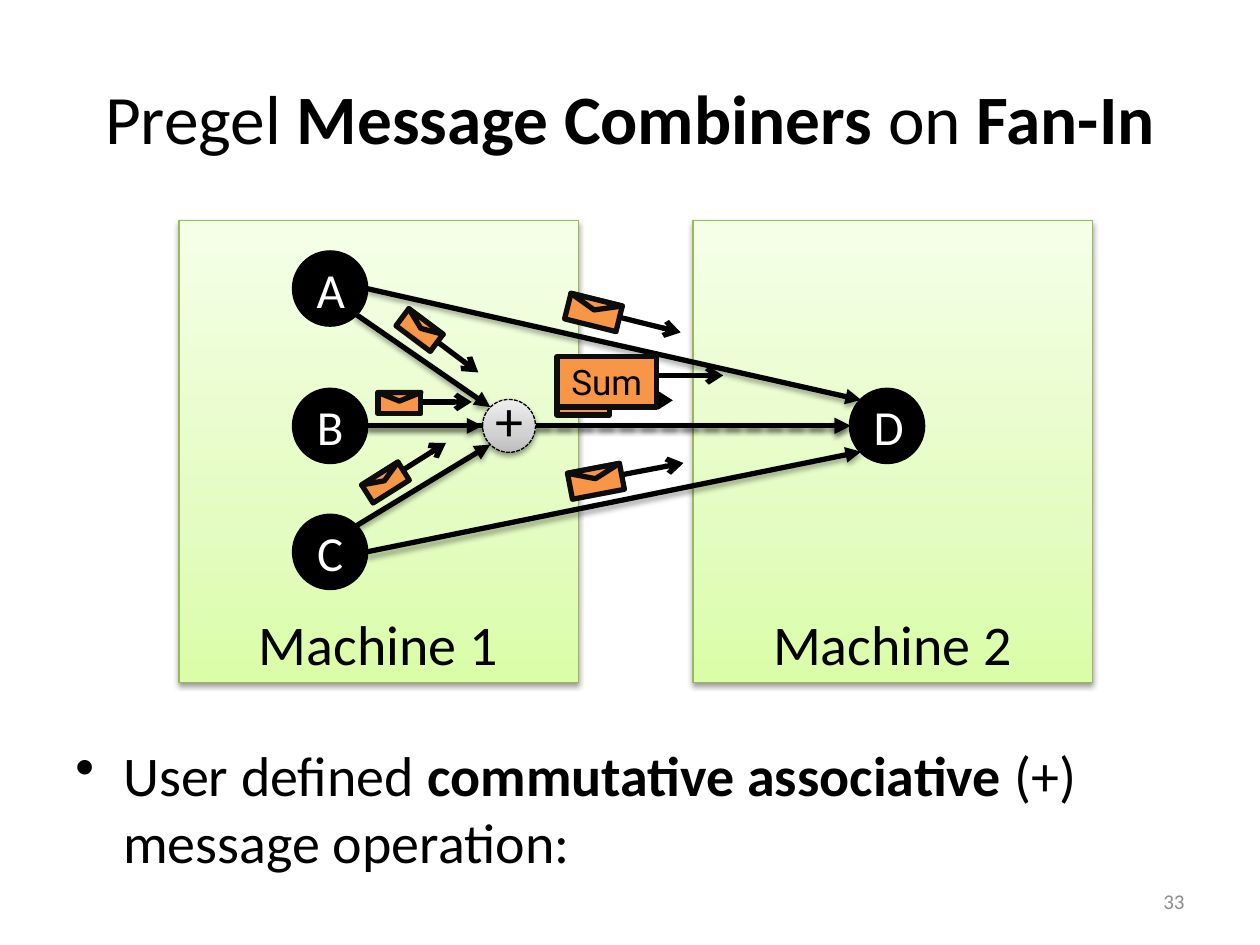
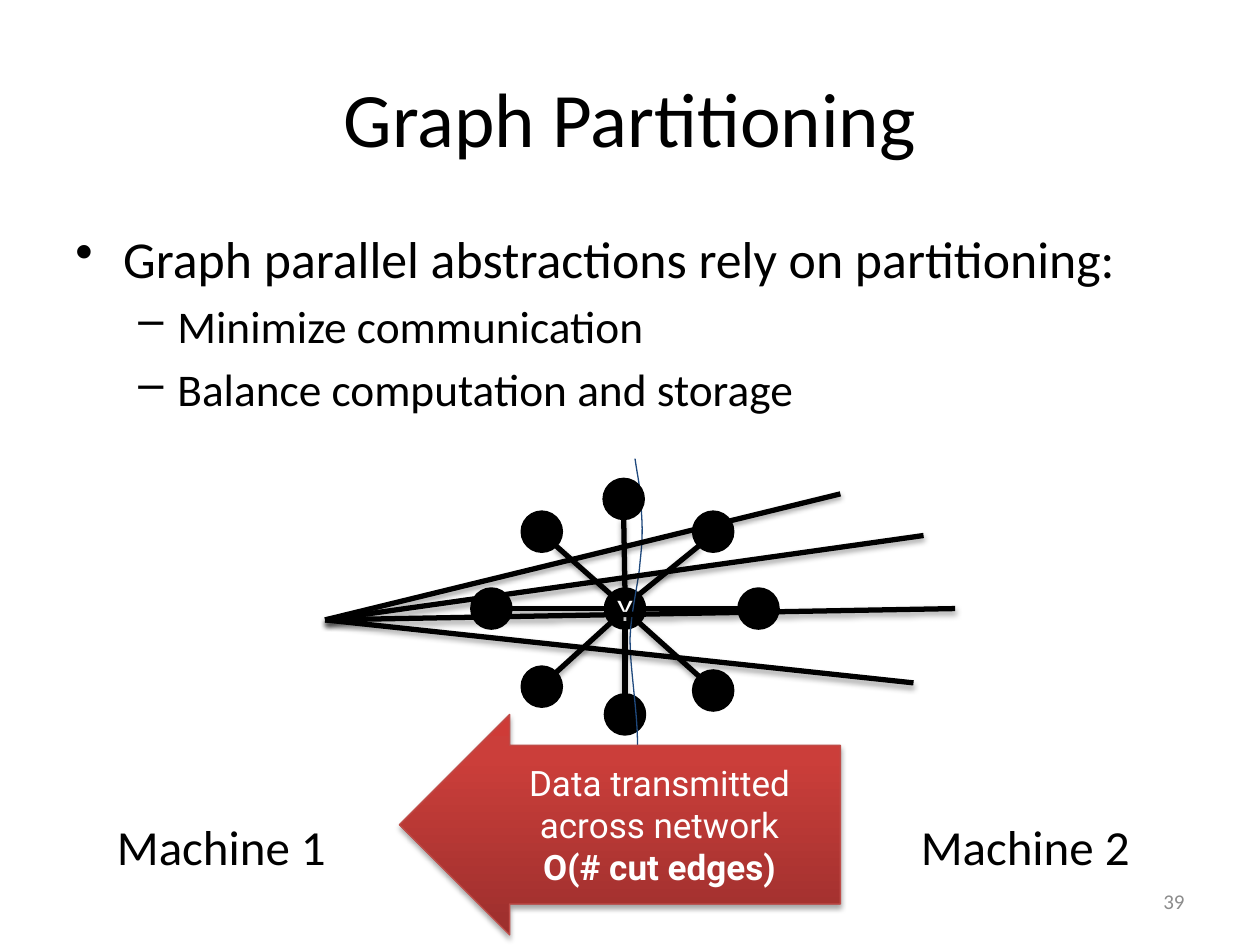
from dataclasses import dataclass
from math import cos, radians, sin
from typing import NamedTuple

from lxml import etree
from pptx import Presentation
from pptx.dml.color import RGBColor
from pptx.enum.dml import MSO_LINE
from pptx.enum.shapes import MSO_CONNECTOR, MSO_SHAPE
from pptx.enum.text import MSO_ANCHOR, PP_ALIGN
from pptx.oxml.ns import qn
from pptx.util import Inches, Pt

BLACK = RGBColor(0x00, 0x00, 0x00)
WHITE = RGBColor(0xFF, 0xFF, 0xFF)
INK = RGBColor(0x0D, 0x0D, 0x0D)
ORANGE = RGBColor(0xF7, 0x96, 0x46)
GREEN_LINE = RGBColor(0x98, 0xB9, 0x55)
RED_LINE = RGBColor(0xBF, 0x4C, 0x48)
NAVY = RGBColor(0x1F, 0x49, 0x7D)
GRAY = RGBColor(0x8C, 0x8C, 0x8C)
GREEN_STOPS = (
    (0, RGBColor(0xDA, 0xFD, 0xA7)),
    (35, RGBColor(0xE4, 0xFC, 0xC2)),
    (100, RGBColor(0xF5, 0xFF, 0xE7)),
)
GRAY_STOPS = (
    (0, RGBColor(0xBD, 0xBD, 0xBD)),
    (35, RGBColor(0xD1, 0xD1, 0xD1)),
    (100, RGBColor(0xEE, 0xEE, 0xEE)),
)
RED_STOPS = (
    (0, RGBColor(0x9C, 0x2F, 0x2D)),
    (80, RGBColor(0xCB, 0x3E, 0x3A)),
    (100, RGBColor(0xCE, 0x3B, 0x37)),
)
RECTANGLE, ELLIPSE = MSO_SHAPE.RECTANGLE, MSO_SHAPE.OVAL
TRIANGLE, LEFT_ARROW = MSO_SHAPE.ISOSCELES_TRIANGLE, MSO_SHAPE.LEFT_ARROW
STRAIGHT = MSO_CONNECTOR.STRAIGHT
DASHED = MSO_LINE.SQUARE_DOT
LEFT, CENTER, RIGHT = PP_ALIGN.LEFT, PP_ALIGN.CENTER, PP_ALIGN.RIGHT
TOP, MIDDLE, BOTTOM = MSO_ANCHOR.TOP, MSO_ANCHOR.MIDDLE, MSO_ANCHOR.BOTTOM
BODY_FONT, LABEL_FONT = "Calibri", "Roboto"


class Point(NamedTuple):
    x: float
    y: float


class Box(NamedTuple):
    left: float
    top: float
    width: float
    height: float


class Span(NamedTuple):
    text: str
    bold: bool = False


class Line(NamedTuple):
    spans: tuple[Span, ...]
    size: float
    align: int = CENTER
    color: RGBColor = BLACK
    font: str = BODY_FONT
    bullet: str = ""
    margin: float = 0
    hanging: float = 0


@dataclass(frozen=True)
class Vertex:
    center: Point
    radius: float
    label: str = ""
    size: float = 28
    inset: float = 0.1

    @property
    def box(self) -> Box:
        return Box(self.center.x - self.radius, self.center.y - self.radius,
                   2 * self.radius, 2 * self.radius)

    def rim(self, degrees: float) -> Point:
        return offset(self.center, self.radius, 0, degrees)


@dataclass(frozen=True)
class Envelope:
    center: Point
    width: float
    rotation: float = 0


def offset(origin: Point, along: float, across: float, degrees: float) -> Point:
    turn = radians(degrees)
    return Point(origin.x + along * cos(turn) - across * sin(turn),
                 origin.y + along * sin(turn) + across * cos(turn))


def plain(text: str, size: float, **style) -> Line:
    return Line((Span(text),), size, **style)


def write(shape, lines: list[Line], anchor=MIDDLE, wrap: bool = True) -> None:
    frame = shape.text_frame
    frame.word_wrap = wrap
    frame.vertical_anchor = anchor
    for index, line in enumerate(lines):
        paragraph = frame.add_paragraph() if index else frame.paragraphs[0]
        paragraph.alignment = line.align
        if line.bullet:
            properties = paragraph._p.get_or_add_pPr()
            properties.set("marL", str(Inches(line.margin)))
            properties.set("indent", str(Inches(-line.hanging)))
            etree.SubElement(properties, qn("a:buChar"), char=line.bullet)
            if index:
                paragraph.space_before = Pt(line.size * 0.2)
        font = paragraph.font
        font.name, font.size, font.color.rgb = line.font, Pt(line.size), line.color
        for span in line.spans:
            run = paragraph.add_run()
            run.text = span.text
            if span.bold:
                run.font.bold = True


def add_text(slide, box: Box, lines: list[Line], anchor=MIDDLE, wrap: bool = True) -> None:
    write(slide.shapes.add_textbox(*map(Inches, box)), lines, anchor, wrap)


def add_shadow(effects, alpha: int, distance: float) -> None:
    shadow = etree.SubElement(
        effects, qn("a:outerShdw"), blurRad=str(Pt(3.1)), dist=str(Pt(distance)),
        dir="5400000", rotWithShape="0")
    color = etree.SubElement(shadow, qn("a:srgbClr"), val=str(BLACK))
    etree.SubElement(color, qn("a:alpha"), val=str(alpha * 1000))


def add_shape(slide, kind, box: Box, fill, line: RGBColor, width: float,
              rotation: float = 0, shadow: tuple | None = None):
    shape = slide.shapes.add_shape(kind, *map(Inches, box))
    shape.rotation = rotation
    shape.line.color.rgb, shape.line.width = line, Pt(width)
    if isinstance(fill, RGBColor):
        shape.fill.solid()
        shape.fill.fore_color.rgb = fill
    else:
        shape.fill.gradient()
        gradient = shape._element.spPr.find(qn("a:gradFill"))
        for child in list(gradient):
            gradient.remove(child)
        stops = etree.SubElement(gradient, qn("a:gsLst"))
        for position, color in fill:
            stop = etree.SubElement(stops, qn("a:gs"), pos=str(position * 1000))
            etree.SubElement(stop, qn("a:srgbClr"), val=str(color))
        etree.SubElement(gradient, qn("a:lin"), ang="16200000", scaled="0")
    shape.shadow.inherit = False
    if shadow:
        add_shadow(shape._element.spPr.find(qn("a:effectLst")), *shadow)
    return shape


def add_line(slide, start: Point, end: Point, head: str = "", shadow: bool = True,
             dash=None) -> None:
    connector = slide.shapes.add_connector(STRAIGHT, *map(Inches, (*start, *end)))
    connector.line.color.rgb, connector.line.width = BLACK, Pt(3)
    if dash:
        connector.line.dash_style = dash
    properties = connector._element.spPr
    if head:
        etree.SubElement(properties.find(qn("a:ln")), qn("a:tailEnd"), type=head)
    effects = etree.SubElement(properties, qn("a:effectLst"))
    if shadow:
        add_shadow(effects, 35, 1.8)


def add_vertex(slide, vertex: Vertex) -> None:
    shape = add_shape(slide, ELLIPSE, vertex.box, BLACK, BLACK, 2)
    if vertex.label:
        frame = shape.text_frame
        frame.margin_left = frame.margin_right = Inches(vertex.inset)
        frame.margin_top = frame.margin_bottom = Inches(vertex.inset / 2)
        write(shape, [plain(vertex.label, vertex.size, color=WHITE)])


def add_envelope(slide, envelope: Envelope) -> None:
    center, width, rotation = envelope.center, envelope.width, envelope.rotation
    height, flap = width / 2, width / 5
    start, end = (offset(center, width * reach, -0.03 * width, rotation)
                  for reach in (0.5, 1.69))
    add_line(slide, start, end, "arrow", shadow=False)
    fold = offset(center, 0, (flap - height) / 2, rotation)
    for kind, middle, depth, turn in ((RECTANGLE, center, height, rotation),
                                      (TRIANGLE, fold, flap, rotation + 180)):
        box = Box(middle.x - width / 2, middle.y - depth / 2, width, depth)
        add_shape(slide, kind, box, ORANGE, INK, 3, turn)


def add_slide(presentation, title: tuple[Span, ...], size: float, number: int):
    slide = presentation.slides.add_slide(presentation.slide_layouts[6])
    add_text(slide, Box(0.5, 0.3, 9, 1.25), [Line(title, size)])
    add_text(slide, Box(7.17, 6.95, 2.33, 0.4),
             [plain(str(number), 12, align=RIGHT, color=GRAY)])
    return slide


def bullet(spans: tuple[Span, ...], size: float, level: int = 0) -> Line:
    mark, margin, hanging = (("•", 0.38, 0.38), ("–", 0.81, 0.31))[level]
    return Line(spans, size, LEFT, bullet=mark, margin=margin, hanging=hanging)


def build_combiners(presentation) -> None:
    title = (Span("Pregel "), Span("Message Combiners ", True), Span("on "),
             Span("Fan-In", True))
    slide = add_slide(presentation, title, 39.6, 33)
    for left, name in ((1.42, "Machine 1"), (5.5, "Machine 2")):
        machine = add_shape(slide, RECTANGLE, Box(left, 1.75, 3.17, 3.67), GREEN_STOPS,
                            GREEN_LINE, 0.75, shadow=(38, 1.6))
        write(machine, [plain(name, 32)], BOTTOM)

    for envelope in (Envelope(Point(4.71, 2.48), 0.42, 13.9),
                     Envelope(Point(4.63, 3.19), 0.42),
                     Envelope(Point(4.73, 3.82), 0.42, 349.2)):
        add_envelope(slide, envelope)

    sources = [Vertex(Point(2.62, y), 0.29, name)
               for name, y in (("A", 2.29), ("B", 3.38), ("C", 4.38))]
    target = Vertex(Point(7.04, 3.38), 0.29, "D")
    combiner = Vertex(Point(4.04, 3.38), 0.21)
    slopes = (45, 0, -45)
    for source, slope in zip(sources, slopes):
        add_line(slide, source.rim(0), target.rim(slope + 180), "triangle")
    for source, slope in zip(sources, slopes):
        add_line(slide, source.rim(slope), combiner.rim(slope + 180), "triangle")
    add_line(slide, combiner.rim(0), target.rim(180), "triangle", dash=DASHED)

    plus = add_shape(slide, ELLIPSE, combiner.box, GRAY_STOPS, BLACK, 0.75,
                     shadow=(38, 1.6))
    plus.line.dash_style = DASHED
    frame = plus.text_frame
    frame.margin_left = frame.margin_right = frame.margin_top = 0
    frame.margin_bottom = Inches(0.1)
    write(plus, [plain("+", 32)])
    for vertex in (*sources, target):
        add_vertex(slide, vertex)

    for envelope in (Envelope(Point(3.33, 2.62), 0.34, 36.8),
                     Envelope(Point(3.06, 3.83), 0.34, 327.7),
                     Envelope(Point(3.17, 3.2), 0.34)):
        add_envelope(slide, envelope)
    add_line(slide, Point(4.82, 2.98), Point(5.74, 2.98), "arrow", shadow=False)
    total = add_shape(slide, RECTANGLE, Box(4.42, 2.83, 0.79, 0.4), ORANGE, INK, 3)
    write(total, [plain("Sum", 20, font=LABEL_FONT)], wrap=False)

    operation = (Span("User defined "), Span("commutative associative", True),
                 Span(" (+) message operation:"))
    add_text(slide, Box(0.5, 5.83, 9, 1.5), [bullet(operation, 32)], TOP)


def add_cut(slide) -> None:
    knots = [Point(*pair) for pair in (
        (5.04, 3.64), (5.06, 3.78), (5.09, 3.91), (5.09, 4.05),
        (5.1, 4.18), (5.1, 4.29), (5.08, 4.46), (5.07, 4.62), (5.01, 4.83), (5, 5.07),
        (5, 5.3), (5.06, 5.66), (5.06, 5.89), (5.06, 6.12), (5, 6.3), (5, 6.45))]
    steps = 8
    outline = []
    for first in range(0, len(knots) - 1, 3):
        for step in range(1, steps + 1):
            t = step / steps
            weights = ((1 - t) ** 3, 3 * t * (1 - t) ** 2, 3 * t * t * (1 - t), t ** 3)
            controls = knots[first:first + 4]
            outline.append(tuple(
                Inches(sum(weight * knot[axis] for weight, knot in zip(weights, controls)))
                for axis in (0, 1)))
    builder = slide.shapes.build_freeform(*map(Inches, knots[0]))
    builder.add_line_segments(outline, close=False)
    cut = builder.convert_to_shape()
    cut.fill.background()
    cut.line.color.rgb, cut.line.width = NAVY, Pt(0.75)
    cut.shadow.inherit = False


def build_partitioning(presentation) -> None:
    slide = add_slide(presentation, (Span("Graph Partitioning"),), 44, 39)
    heading = (Span("Graph parallel abstractions rely on partitioning:"),)
    goals = ("Minimize communication", "Balance computation and storage")
    add_text(slide, Box(0.5, 1.75, 9, 1.42),
             [bullet(heading, 29.6), *(bullet((Span(goal),), 25.9, 1) for goal in goals)],
             TOP)

    hub = Vertex(Point(4.96, 4.83), 0.155, "Y", 18, 0)
    neighbors = {
        90: Point(4.96, 5.67), 135: Point(4.3, 5.45), 180: Point(3.9, 4.83),
        225: Point(4.3, 4.22), 270: Point(4.95, 3.96), 315: Point(5.66, 4.22),
        0: Point(6.02, 4.83), 45: Point(5.66, 5.48),
    }
    satellites = {angle: Vertex(center, hub.radius) for angle, center in neighbors.items()}
    for angle, satellite in satellites.items():
        add_line(slide, hub.rim(angle), satellite.rim(angle + 180))
    left_side = {90, 135, 180, 225}
    add_vertex(slide, hub)
    for angle in left_side:
        add_vertex(slide, satellites[angle])
    add_cut(slide)
    for left, name in ((0.83, "Machine 1"), (7.21, "Machine 2")):
        add_text(slide, Box(left, 6.43, 1.88, 0.57), [plain(name, 28, align=LEFT)],
                 TOP, wrap=False)
    for angle in satellites.keys() - left_side:
        add_vertex(slide, satellites[angle])

    for start in (Point(7.33, 4.25), Point(6.67, 3.92), Point(7.58, 4.83),
                  Point(7.25, 5.42)):
        add_line(slide, start, Point(2.58, 4.92))

    arrow = add_shape(slide, LEFT_ARROW, Box(3.17, 5.67, 3.5, 1.75), RED_STOPS, RED_LINE,
                      0.75, shadow=(35, 1.8))
    arrow.adjustments[0], arrow.adjustments[1] = 0.72, 0.5
    spans = (Span("Data transmitted"), Span("across network"), Span("O(# cut edges)", True))
    write(arrow, [Line((span,), 20, color=WHITE, font=LABEL_FONT) for span in spans],
          wrap=False)


def main() -> None:
    presentation = Presentation()
    presentation.slide_width, presentation.slide_height = Inches(10), Inches(7.5)
    build_combiners(presentation)
    build_partitioning(presentation)
    presentation.save("out.pptx")


if __name__ == "__main__":
    main()
